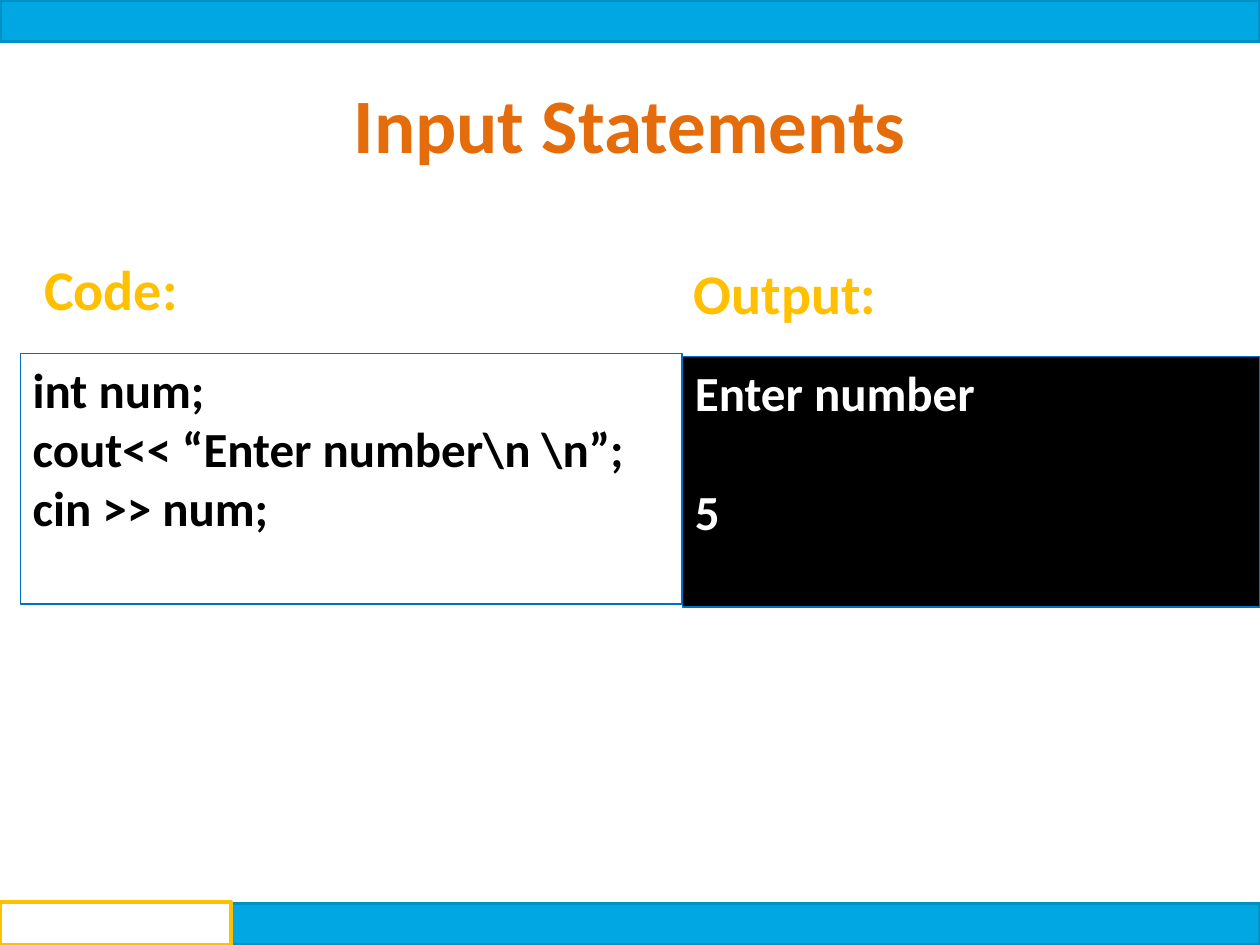
import pptx
import pptx.dml.color
import pptx.enum.shapes
import pptx.enum.text
import pptx.util
from dataclasses import dataclass

Cm = pptx.util.Cm
Pt = pptx.util.Pt


@dataclass(frozen=True)
class Theme:
    font: str = "Calibri"
    title: str = "E46C0A"
    heading: str = "FFC000"
    black: str = "000000"
    white: str = "FFFFFF"
    border: str = "0070C0"
    bar: str = "00A7E2"
    bar_edge: str = "0091C4"
    title_size: int = 44
    heading_size: int = 32
    code_size: int = 28
    blank_line: float = 34.2


THEME = Theme()
PAGE_WIDTH, PAGE_HEIGHT = 25.4, 19.05
BAR_HEIGHT = 0.84
TAB_HEIGHT = 0.86
PANEL_HEIGHT = 5.05
HEADING_SIZE = (8.69, 1.63)

PANELS = [
    {"lines": ["int num;", "cout<< “Enter number\\n \\n”;", "cin >> num;"],
     "place": (0.41, 7.13, 13.34, PANEL_HEIGHT),
     "fill": None, "ink": THEME.black, "gap": 0},
    {"lines": ["Enter number", "5"],
     "place": (13.76, 7.19, PAGE_WIDTH - 13.76, PANEL_HEIGHT),
     "fill": THEME.black, "ink": THEME.white, "gap": THEME.blank_line},
]
HEADINGS = [("Output:", 13.74, 5.08), ("Code:", 0.64, 5.0)]
TITLE = ("Input Statements", (1.27, 1.42, 22.86, 3.18))
BARS = [
    ((0, 0, PAGE_WIDTH, BAR_HEIGHT), THEME.bar, THEME.bar_edge, 2),
    ((0, PAGE_HEIGHT - BAR_HEIGHT, PAGE_WIDTH, BAR_HEIGHT), THEME.bar, THEME.bar_edge, 2),
    ((0, PAGE_HEIGHT - TAB_HEIGHT, 4.65, TAB_HEIGHT), THEME.white, THEME.heading, 2.25),
]


def rgb(value):
    return pptx.dml.color.RGBColor.from_string(value)


def add_rectangle(page, place, fill, edge, weight):
    kind = pptx.enum.shapes.MSO_SHAPE.RECTANGLE
    box = page.shapes.add_shape(kind, *map(Cm, place))
    box.shadow.inherit = False
    if fill:
        box.fill.solid()
        box.fill.fore_color.rgb = rgb(fill)
    else:
        box.fill.background()
    box.line.color.rgb = rgb(edge)
    box.line.width = Pt(weight)
    return box


def write_lines(box, lines, size, color, align="LEFT", gap=0):
    frame = box.text_frame
    frame.word_wrap = True
    frame.vertical_anchor = pptx.enum.text.MSO_ANCHOR.TOP
    frame.text = "\n".join(lines)
    for index, para in enumerate(frame.paragraphs):
        para.alignment = pptx.enum.text.PP_ALIGN[align]
        if index and gap:
            para.space_before = Pt(gap)
        for span in para.runs:
            span.font.name = THEME.font
            span.font.size = Pt(size)
            span.font.bold = True
            span.font.color.rgb = rgb(color)


def main():
    """Build the input statements slide and save it."""
    deck = pptx.Presentation()
    deck.slide_width, deck.slide_height = Cm(PAGE_WIDTH), Cm(PAGE_HEIGHT)
    page = deck.slides.add_slide(deck.slide_layouts[6])

    for panel in PANELS:
        box = add_rectangle(page, panel["place"], panel["fill"], THEME.border, 0.75)
        write_lines(box, panel["lines"], THEME.code_size, panel["ink"], gap=panel["gap"])

    for text, left, top in HEADINGS:
        box = page.shapes.add_textbox(*map(Cm, (left, top, *HEADING_SIZE)))
        write_lines(box, [text], THEME.heading_size, THEME.heading)

    for bar in BARS:
        add_rectangle(page, *bar)

    text, place = TITLE
    box = page.shapes.add_textbox(*map(Cm, place))
    write_lines(box, [text], THEME.title_size, THEME.title, align="CENTER")

    deck.save("out.pptx")


if __name__ == "__main__":
    main()
